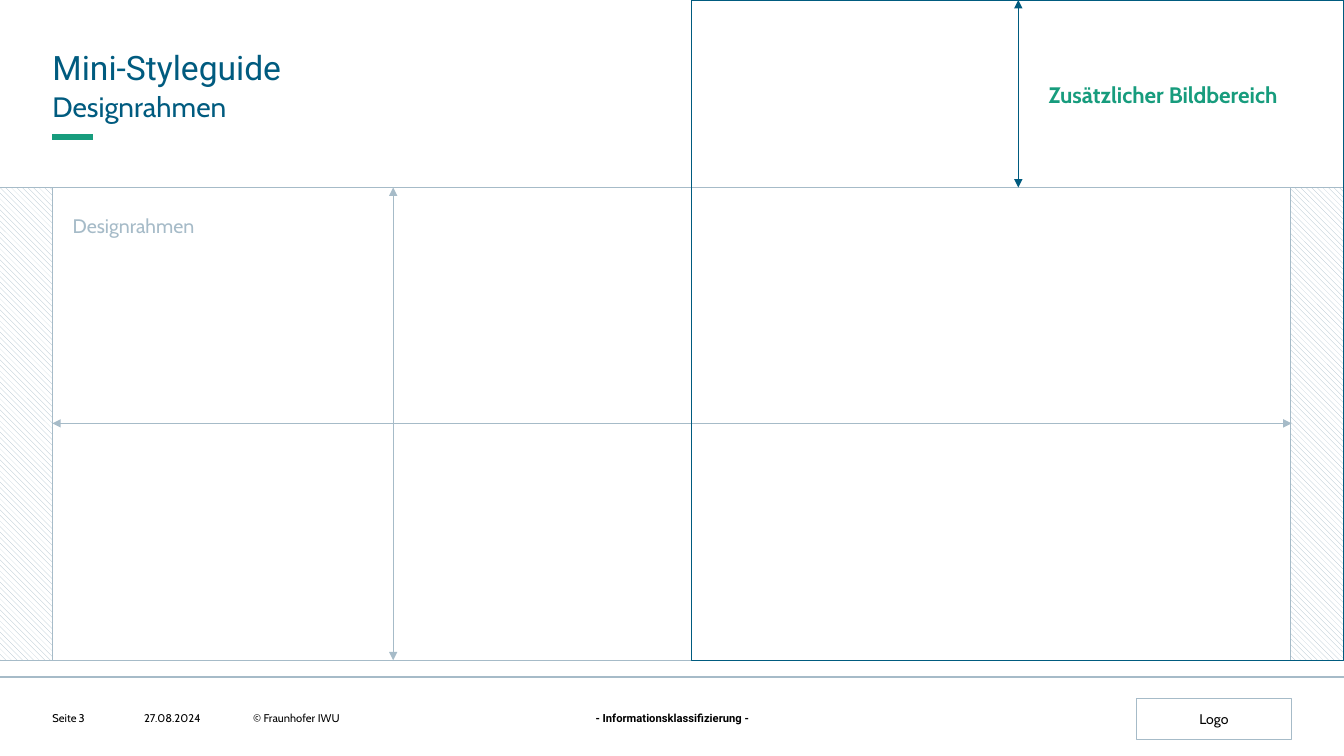
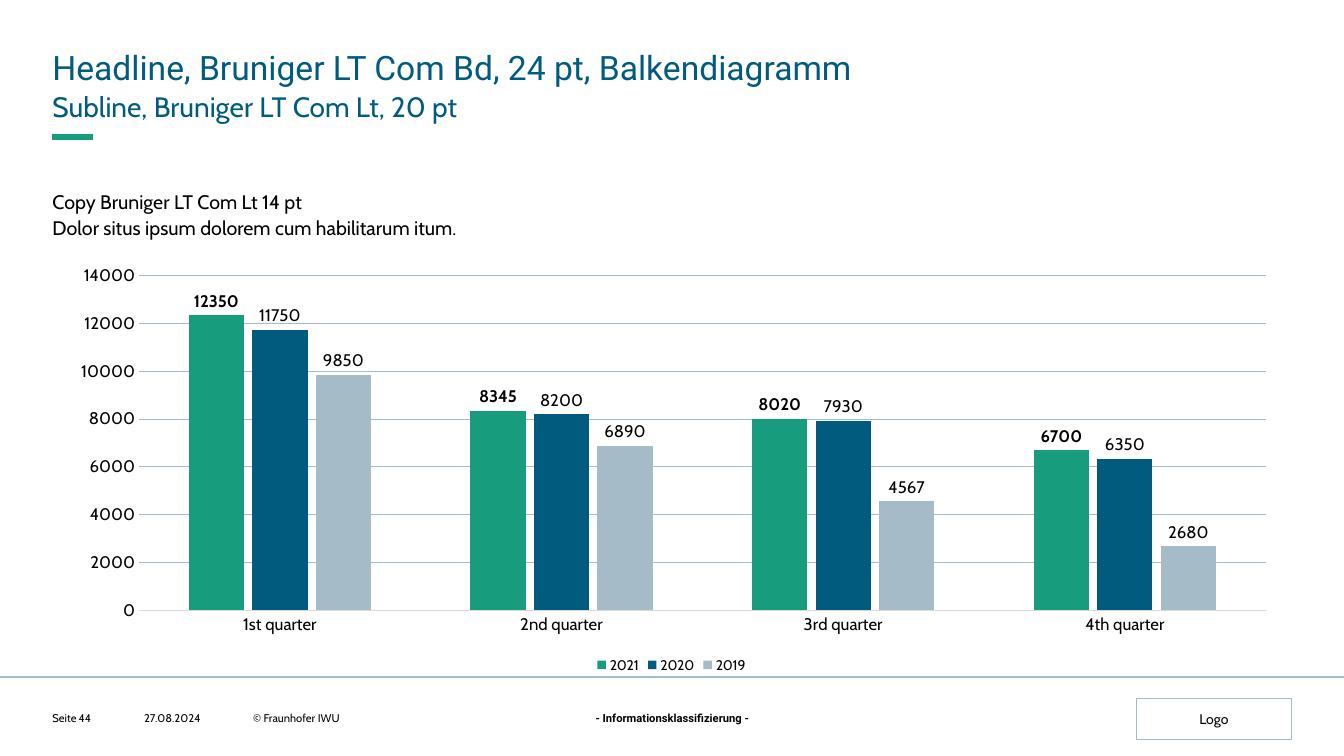
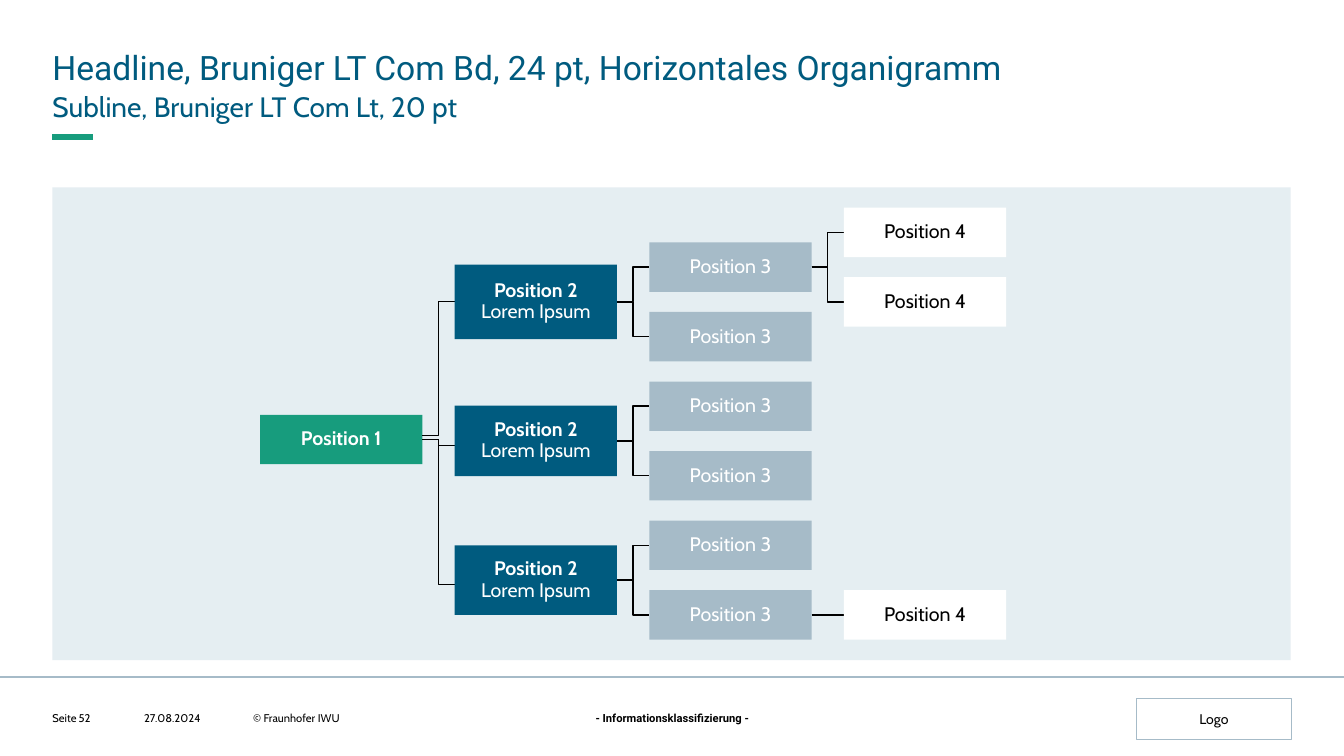
import pptx
import pptx.chart.data
import pptx.dml.color
import pptx.enum.chart
import pptx.enum.dml
import pptx.enum.shapes
import pptx.enum.text
import pptx.oxml
import pptx.oxml.ns
import pptx.util
from lxml import etree

Inches = pptx.util.Inches
Pt = pptx.util.Pt
qn = pptx.oxml.ns.qn
ALIGN = pptx.enum.text.PP_ALIGN
ANCHOR = pptx.enum.text.MSO_ANCHOR
CONNECTOR = pptx.enum.shapes.MSO_CONNECTOR

COLORS = {
    "green": "179C7D",
    "blue": "005B7F",
    "gray": "A6BBC8",
    "pale": "E5EEF2",
    "rule": "D9D9D9",
    "black": "000000",
    "white": "FFFFFF",
}
HEAD_FONT = "Roboto"
TEXT_FONT = "Cabin"
SLIDE_WIDTH = 13.33
LEFT, WIDTH = 0.52, 12.28
RIGHT = 12.81
CONTENT_TOP, CONTENT_HEIGHT = 1.86, 4.69
CONTENT_BOTTOM = CONTENT_TOP + CONTENT_HEIGHT
FOOTER_TOP, FOOTER_HEIGHT = 7.06, 0.13
SUBLINE = "Subline, Bruniger LT Com Lt, 20 pt"


def rgb(name):
    return pptx.dml.color.RGBColor.from_string(COLORS[name])


def set_font(font, size, color="black", bold=False, name=TEXT_FONT):
    font.size = Pt(size)
    font.name = name
    font.bold = bold
    font.color.rgb = rgb(color)


def write_text(shape, text, size=14, color="black", font=TEXT_FONT, bold_lines=0,
               align=ALIGN.LEFT, anchor=ANCHOR.TOP, inset=0, spacing=None, wrap=True):
    frame = shape.text_frame
    frame.auto_size = pptx.enum.text.MSO_AUTO_SIZE.NONE
    frame.word_wrap = wrap
    frame.vertical_anchor = anchor
    frame.margin_left = frame.margin_right = Inches(inset)
    frame.margin_top = frame.margin_bottom = Inches(inset)
    paragraph = frame.paragraphs[0]
    if shape.is_placeholder:
        properties = paragraph._p.get_or_add_pPr()
        properties.set("marL", "0")
        properties.set("indent", "0")
        etree.SubElement(properties, qn("a:buNone"))
    paragraph.alignment = align
    paragraph.space_before = Pt(0)
    if spacing:
        paragraph.line_spacing = spacing
    for index, line in enumerate(text.split("\n")):
        if index:
            paragraph.add_line_break()
        run = paragraph.add_run()
        run.text = line
        set_font(run.font, size, color, index < bold_lines, font)


def add_text(slide, box, text, **text_format):
    shape = slide.shapes.add_textbox(*map(Inches, box))
    write_text(shape, text, **text_format)


def fill_placeholder(shape, box, text, **text_format):
    shape.left, shape.top, shape.width, shape.height = map(Inches, box)
    write_text(shape, text, spacing=1.1, **text_format)


def add_box(slide, box, fill=None, line=None):
    shape = slide.shapes.add_shape(pptx.enum.shapes.MSO_SHAPE.RECTANGLE, *map(Inches, box))
    shape.shadow.inherit = False
    if fill:
        shape.fill.solid()
        shape.fill.fore_color.rgb = rgb(fill)
    else:
        shape.fill.background()
    if line:
        shape.line.color.rgb = rgb(line)
        shape.line.width = Pt(0.75)
    else:
        shape.line.fill.background()
    return shape


def add_line(slide, start, end, color, width=0.75, arrows=False):
    level = start[0] == end[0] or start[1] == end[1]
    kind = CONNECTOR.STRAIGHT if level else CONNECTOR.ELBOW
    connector = slide.shapes.add_connector(kind, *map(Inches, (*start, *end)))
    connector.line.color.rgb = rgb(color)
    connector.line.width = Pt(width)
    properties = connector._element.spPr
    if arrows:
        outline = properties.find(qn("a:ln"))
        for tag in ("a:headEnd", "a:tailEnd"):
            etree.SubElement(outline, qn(tag), type="triangle")
    etree.SubElement(properties, qn("a:effectLst"))


def add_slide(presentation, layout, number, title, subline):
    slide = presentation.slides.add_slide(presentation.slide_layouts[layout])
    fill_placeholder(slide.shapes.title, (LEFT, 0.43, WIDTH, 0.42), title,
                     size=24, color="blue", font=HEAD_FONT)
    fill_placeholder(slide.placeholders[1], (LEFT, 0.85, WIDTH, 0.35), subline,
                     size=20, color="blue")
    add_line(slide, (LEFT, 1.36), (0.92, 1.36), "green", 4)
    add_line(slide, (0, 6.72), (SLIDE_WIDTH, 6.72), "gray", 1.5)
    for left, width, text in ((LEFT, 0.25, "Seite"), (0.78, 0.45, str(number)),
                              (1.43, 0.94, "27.08.2024"), (2.51, 3.23, "© Fraunhofer IWU")):
        add_text(slide, (left, FOOTER_TOP, width, FOOTER_HEIGHT), text, size=8,
                 anchor=ANCHOR.MIDDLE, wrap=False)
    add_text(slide, (5.88, FOOTER_TOP, 1.58, FOOTER_HEIGHT), "- Informationsklassifizierung -",
             size=8, font=HEAD_FONT, bold_lines=1, align=ALIGN.CENTER, wrap=False)
    logo = add_box(slide, (11.27, 6.93, 1.54, 0.41), "white", "gray")
    write_text(logo, "Logo", size=10, align=ALIGN.CENTER, anchor=ANCHOR.MIDDLE, inset=0.12)
    return slide


def add_frame_slide(presentation):
    slide = add_slide(presentation, 1, 3, "Mini-Styleguide", "Designrahmen")
    margins = add_box(slide, (0, CONTENT_TOP, SLIDE_WIDTH, CONTENT_HEIGHT), line="gray")
    margins.fill.patterned()
    margins.fill.pattern = pptx.enum.dml.MSO_PATTERN.WIDE_DOWNWARD_DIAGONAL
    margins.fill.fore_color.rgb = rgb("gray")
    margins.fill.back_color.rgb = rgb("white")
    add_box(slide, (LEFT, CONTENT_TOP, WIDTH, CONTENT_HEIGHT), "white", "gray")
    add_line(slide, (LEFT, 4.2), (RIGHT, 4.2), "gray", arrows=True)
    add_line(slide, (3.9, CONTENT_TOP), (3.9, CONTENT_BOTTOM), "gray", arrows=True)
    add_box(slide, (6.86, 0, 6.47, CONTENT_BOTTOM), line="blue")
    add_line(slide, (10.1, 0), (10.1, CONTENT_TOP), "blue", arrows=True)
    add_text(slide, (10.4, 0.8, 2.49, 0.27), "Zusätzlicher Bildbereich", size=16,
             color="green", bold_lines=1, spacing=Pt(19.6), wrap=False)
    add_text(slide, (0.72, 2.08, 1.21, 0.26), "Designrahmen", color="gray",
             spacing=Pt(19.6), wrap=False)


def set_plot_layout(chart, **fractions):
    plot_area = chart._chartSpace.chart.plotArea
    layout = plot_area.find(qn("c:layout"))
    if layout is None:
        layout = etree.Element(qn("c:layout"))
        plot_area.insert(0, layout)
    manual = etree.SubElement(layout, qn("c:manualLayout"))
    values = {"layoutTarget": "inner", "xMode": "edge", "yMode": "edge", **fractions}
    for tag, value in values.items():
        etree.SubElement(manual, qn("c:" + tag), val=str(value))


def style_axis(axis):
    axis.major_tick_mark = axis.minor_tick_mark = pptx.enum.chart.XL_TICK_MARK.NONE
    set_font(axis.tick_labels.font, 12)


def add_column_chart(slide, box, categories, series_values, series_colors):
    data = pptx.chart.data.CategoryChartData(number_format="General")
    data.categories = categories
    for name, values in series_values.items():
        data.add_series(name, values)
    kind = pptx.enum.chart.XL_CHART_TYPE.COLUMN_CLUSTERED
    chart = slide.shapes.add_chart(kind, *map(Inches, box), data).chart
    set_font(chart.font, 10)
    chart.has_title = False
    chart.has_legend = True
    chart.legend.position = pptx.enum.chart.XL_LEGEND_POSITION.BOTTOM
    chart.legend.include_in_layout = False
    set_font(chart.legend.font, 10)
    style_axis(chart.category_axis)
    chart.category_axis.format.line.color.rgb = rgb("rule")
    chart.category_axis.format.line.width = Pt(0.75)
    value_axis = chart.value_axis
    style_axis(value_axis)
    value_axis.minimum_scale, value_axis.maximum_scale, value_axis.major_unit = 0, 14000, 2000
    value_axis.format.line.fill.background()
    value_axis.major_gridlines.format.line.color.rgb = rgb("gray")
    value_axis.major_gridlines.format.line.width = Pt(0.75)
    plot = chart.plots[0]
    plot.gap_width = 180
    plot.overlap = -15
    plot.vary_by_categories = False
    for index, (series, color) in enumerate(zip(plot.series, series_colors)):
        series.format.fill.solid()
        series.format.fill.fore_color.rgb = rgb(color)
        labels = series.data_labels
        labels.show_value = True
        labels.position = pptx.enum.chart.XL_LABEL_POSITION.OUTSIDE_END
        set_font(labels.font, 12, bold=index == 0)
    set_plot_layout(chart, x=0.07, y=0.04, w=0.91, h=0.8)


def add_chart_slide(presentation):
    slide = add_slide(presentation, 3, 44,
                      "Headline, Bruniger LT Com Bd, 24 pt, Balkendiagramm", SUBLINE)
    fill_placeholder(slide.placeholders[2], (LEFT, CONTENT_TOP, WIDTH, 0.5),
                     "Copy Bruniger LT Com Lt 14 pt\n"
                     "Dolor situs ipsum dolorem cum habilitarum itum.")
    add_column_chart(
        slide, (LEFT, 2.57, WIDTH, 4.15),
        ["1st quarter", "2nd quarter", "3rd quarter", "4th quarter"],
        {"2021": (12350, 8345, 8020, 6700),
         "2020": (11750, 8200, 7930, 6350),
         "2019": (9850, 6890, 4567, 2680)},
        ("green", "blue", "gray"))


def add_position(slide, left, middle, text, fill, height=0.49, color="white", bold_lines=0):
    shape = add_box(slide, (left, middle - height / 2, 1.61, height), fill)
    write_text(shape, text, color=color, bold_lines=bold_lines, align=ALIGN.CENTER,
               anchor=ANCHOR.MIDDLE, inset=0.01, spacing=0.9)


def add_organigram_slide(presentation):
    slide = add_slide(presentation, 1, 52,
                      "Headline, Bruniger LT Com Bd, 24 pt, Horizontales Organigramm", SUBLINE)
    add_box(slide, (LEFT, CONTENT_TOP, WIDTH, CONTENT_HEIGHT), "pale")
    columns = [2.58 + 1.93 * level for level in range(4)]
    edges = [left + 1.61 for left in columns]
    first_row, row_step = 2.65, 0.69
    rows = [first_row + row_step * index for index in range(6)]
    half_step = row_step / 2
    leaves = {0: (rows[0] - half_step, rows[0] + half_step), 5: (rows[5],)}

    add_position(slide, columns[0], 4.36, "Position 1", "green", bold_lines=1)
    branches = ((0.74, 4.32, 2.99), (0.7, 4.36, 4.42), (0.69, 4.36, 5.8))
    for branch, (height, start, end) in enumerate(branches):
        children = (2 * branch, 2 * branch + 1)
        middle = sum(rows[row] for row in children) / 2
        add_line(slide, (edges[0], start), (columns[1], end), "black", 1)
        add_position(slide, columns[1], middle, "Position 2\nLorem Ipsum", "blue",
                     height=height, bold_lines=1)
        for row in children:
            add_line(slide, (edges[1], middle), (columns[2], rows[row]), "black", 1)
            add_position(slide, columns[2], rows[row], "Position 3", "gray")
            for leaf in leaves.get(row, ()):
                add_line(slide, (edges[2], rows[row]), (columns[3], leaf), "black", 1)
                add_position(slide, columns[3], leaf, "Position 4", "white", color="black")


def main():
    presentation = pptx.Presentation()
    presentation.slide_width = Inches(SLIDE_WIDTH)
    presentation.slide_height = Inches(7.5)
    add_frame_slide(presentation)
    add_chart_slide(presentation)
    add_organigram_slide(presentation)
    presentation.save("out.pptx")


if __name__ == "__main__":
    main()
